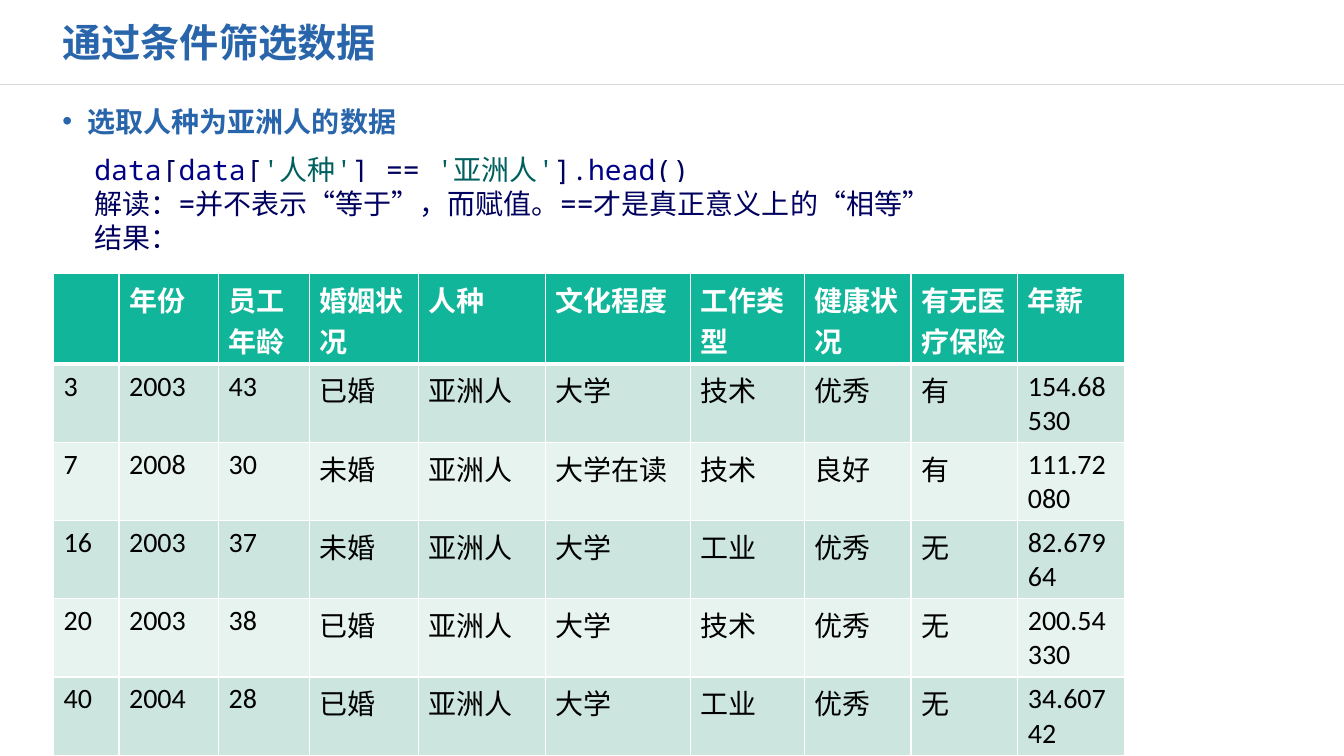
from dataclasses import dataclass

from lxml.etree import Element, SubElement
from pptx import Presentation
from pptx.dml.color import RGBColor
from pptx.enum.shapes import MSO_CONNECTOR
from pptx.enum.text import MSO_ANCHOR, PP_ALIGN
from pptx.oxml.ns import qn
from pptx.util import Cm, Pt


@dataclass(frozen=True)
class Theme:
    blue: str = "2965AB"
    rule: str = "D9D9D9"
    white: str = "FFFFFF"
    black: str = "000000"
    head: str = "11B59A"
    odd: str = "CCE5DE"
    even: str = "E7F3EF"
    name: str = "000087"
    sign: str = "00005F"
    quote: str = "005F5F"
    sans: str = "Noto Sans CJK SC"
    mono: str = "Noto Sans Mono"
    latin: str = "Calibri"
    title: int = 28
    text: int = 20
    pitch: float = 24.3


THEME = Theme()

WIDTHS = [1.65, 2.51, 2.29, 2.74, 3.2, 3.66, 2.87, 2.69, 2.69, 2.7]
ROWS = [
    ["", "年份", "员工年龄", "婚姻状况", "人种", "文化程度", "工作类型", "健康状况", "有无医疗保险", "年薪"],
    ["3", "2003", "43", "已婚", "亚洲人", "大学", "技术", "优秀", "有", "154.68530"],
    ["7", "2008", "30", "未婚", "亚洲人", "大学在读", "技术", "良好", "有", "111.72080"],
    ["16", "2003", "37", "未婚", "亚洲人", "大学", "工业", "优秀", "无", "82.67964"],
    ["20", "2003", "38", "已婚", "亚洲人", "大学", "技术", "优秀", "无", "200.54330"],
    ["40", "2004", "28", "已婚", "亚洲人", "大学", "工业", "优秀", "无", "34.60742"],
]
CODE = [
    [
        ("data", THEME.name),
        ("[", THEME.sign),
        ("data", THEME.name),
        ("[", THEME.sign),
        ("'人种'", THEME.quote),
        ("] == ", THEME.sign),
        ("'亚洲人'", THEME.quote),
        ("].", THEME.sign),
        ("head", THEME.name),
        ("()", THEME.sign),
    ],
    [("解读：=并不表示“等于”，而赋值。==才是真正意义上的“相等”", THEME.sign)],
    [("结果：", THEME.sign)],
]


def add_run(para, text, face, color, size=THEME.text, bold=False):
    run = para.add_run()
    run.text = text
    font = run.font
    font.size, font.bold, font.name = Pt(size), bold, face
    font.color.rgb = RGBColor.from_string(color)
    east = Element(qn("a:ea"), typeface=THEME.sans)
    run._r.rPr.find(qn("a:latin")).addnext(east)
    return run


def mark_run(run, color):
    mark = Element(qn("a:highlight"))
    SubElement(mark, qn("a:srgbClr"), val=color)
    run._r.rPr.find(qn("a:solidFill")).addnext(mark)


def add_rule(slide, width):
    rule = slide.shapes.add_connector(
        MSO_CONNECTOR.STRAIGHT, 0, Cm(2.13), width, Cm(2.13))
    rule.line.color.rgb = RGBColor.from_string(THEME.rule)
    rule.line.width = Pt(1)
    SubElement(rule._element.spPr, qn("a:effectLst"))


def set_title(slide, text):
    title = slide.shapes.title
    title.left, title.top = Cm(1.32), Cm(0.33)
    title.width, title.height = Cm(13.51), Cm(1.47)
    frame = title.text_frame
    frame.vertical_anchor = MSO_ANCHOR.MIDDLE
    para = frame.paragraphs[0]
    para.alignment = PP_ALIGN.LEFT
    add_run(para, text, THEME.sans, THEME.blue, THEME.title, True)


def add_box(slide, left, top, width, height):
    box = slide.shapes.add_textbox(Cm(left), Cm(top), Cm(width), Cm(height))
    box.text_frame.word_wrap = True
    return box.text_frame


def add_point(slide, text):
    para = add_box(slide, 1.32, 2.51, 27.99, 13.59).paragraphs[0]
    props = para._p.get_or_add_pPr()
    props.set("marL", str(Cm(0.64)))
    props.set("indent", str(Cm(-0.64)))
    tint = SubElement(props, qn("a:buClr"))
    SubElement(tint, qn("a:srgbClr"), val=THEME.blue)
    SubElement(props, qn("a:buFont"), typeface="Arial")
    SubElement(props, qn("a:buChar"), char="•")
    add_run(para, text, THEME.sans, THEME.blue, bold=True)


def add_code(slide, lines):
    frame = add_box(slide, 2.13, 3.71, 24.21, 2.82)
    for index, line in enumerate(lines):
        para = frame.add_paragraph() if index else frame.paragraphs[0]
        para.line_spacing = Pt(THEME.pitch)
        for text, color in line:
            mark_run(add_run(para, text, THEME.mono, color), THEME.white)


def set_edge(cell, base):
    props = cell._tc.get_or_add_tcPr()
    sides = [("L", 1), ("R", 1), ("T", 1), ("B", base)]
    for index, (side, width) in enumerate(sides):
        edge = Element(qn(f"a:ln{side}"), w=str(Pt(width)))
        fill = SubElement(edge, qn("a:solidFill"))
        SubElement(fill, qn("a:srgbClr"), val=THEME.white)
        props.insert(index, edge)


def fill_cell(cell, text, row):
    top = row == 0
    shade = THEME.head if top else THEME.odd if row % 2 else THEME.even
    cell.fill.solid()
    cell.fill.fore_color.rgb = RGBColor.from_string(shade)
    set_edge(cell, 3 if top else 1)
    if text:
        color = THEME.white if top else THEME.black
        add_run(cell.text_frame.paragraphs[0], text, THEME.latin, color, bold=top)


def add_grid(slide, rows, widths):
    highs = [2.28] + [1.97] * (len(rows) - 1)
    grid = slide.shapes.add_table(
        len(rows), len(widths), Cm(1.35), Cm(6.9),
        Cm(sum(widths)), Cm(sum(highs))).table
    for col, width in zip(grid.columns, widths):
        col.width = Cm(width)
    for index, (row, high) in enumerate(zip(rows, highs)):
        grid.rows[index].height = Cm(high)
        for place, text in enumerate(row):
            fill_cell(grid.cell(index, place), text, index)


def main():
    deck = Presentation()
    deck.slide_width, deck.slide_height = Cm(33.87), Cm(19.05)
    slide = deck.slides.add_slide(deck.slide_layouts[5])
    add_rule(slide, deck.slide_width)
    set_title(slide, "通过条件筛选数据")
    add_point(slide, "选取人种为亚洲人的数据")
    add_grid(slide, ROWS, WIDTHS)
    add_code(slide, CODE)
    deck.save("out.pptx")


if __name__ == "__main__":
    main()
